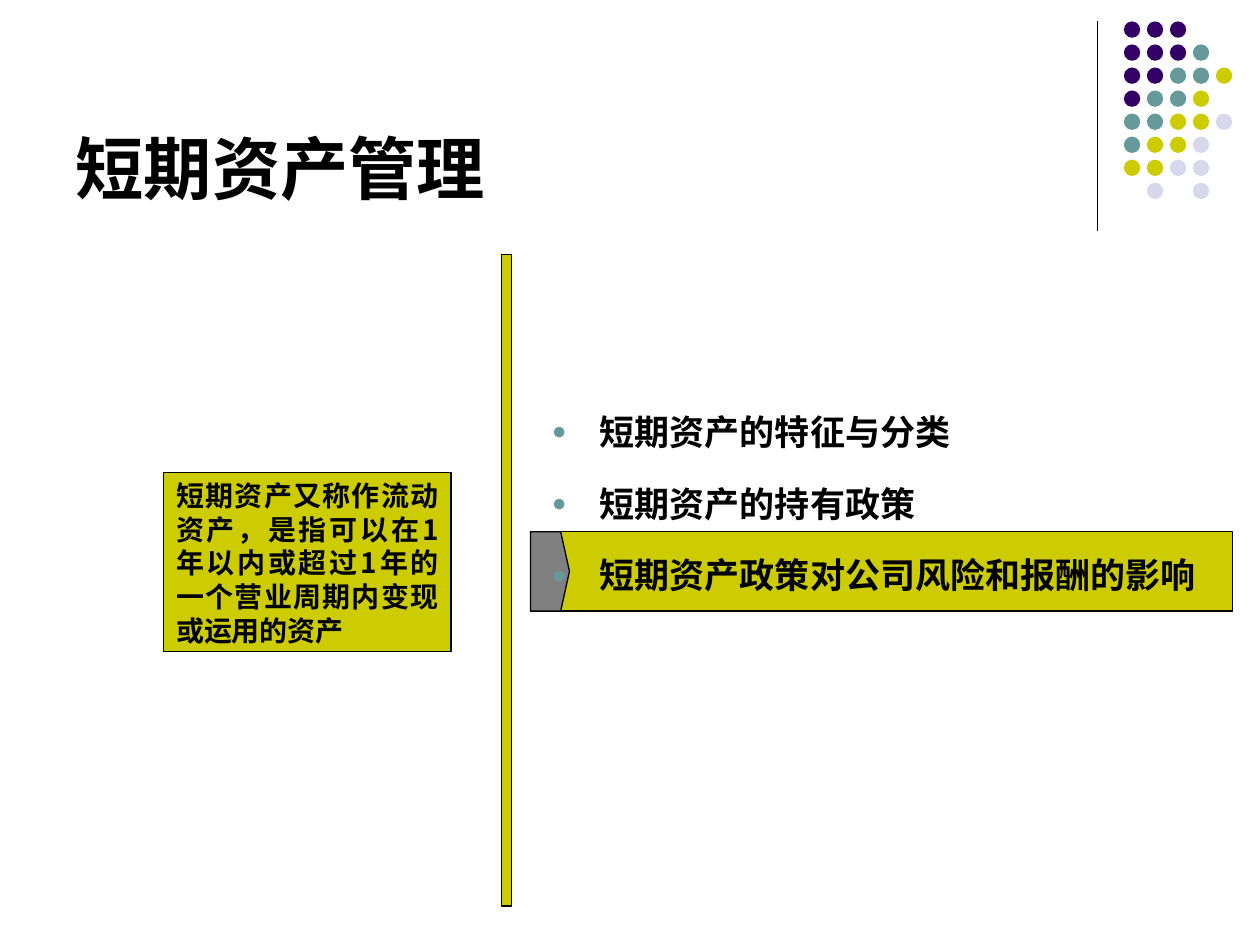
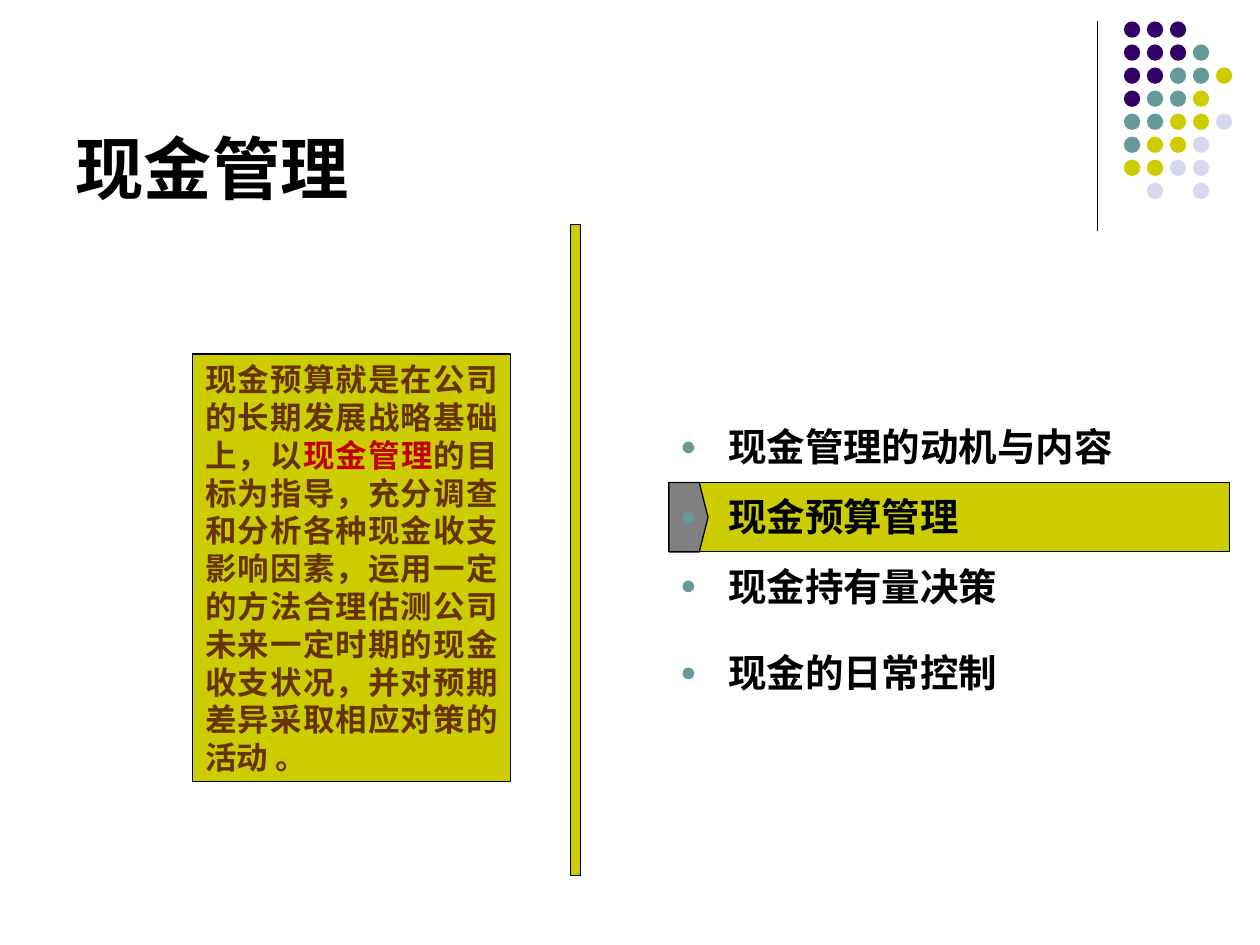
"""Build two slides on short-term asset and cash management."""
from lxml import etree
from pptx import Presentation
from pptx import util as u
from pptx.dml.color import RGBColor
from pptx.enum import shapes, text
from pptx.oxml.ns import qn

COLORS = {"black": "000000", "purple": "330066", "teal": "669999", "olive": "CCCC00",
          "lilac": "D8D8EC", "gray": "808080", "brown": "663300", "red": "C00000"}
CJK = "Noto Sans CJK SC"
DOT_ROWS = ["PPP", "PPPT", "PPTTO", "PTTO", "TTOOL", "TOOL", "OOLL", " L L"]
DOT_COLORS = {"P": "purple", "T": "teal", "O": "olive", "L": "lilac"}
SLIDES = [
    {"title": "短期资产管理",
     "bullets": ["短期资产的特征与分类", "短期资产的持有政策", "短期资产政策对公司风险和报酬的影响"],
     "body": (3.9, 3.04, 6.1, 4.71), "size": 20, "spacing": 1.5, "before": [0, 5, 5],
     "highlight": (4.21, 4.22, 5.57, 0.63), "divider": (3.98, 2.02, 0.08, 5.17),
     "note_box": (1.3, 3.75, 2.28, 1.42), "note_size": 16,
     "note": [("短期资产又称作流动资产，是指可以在1年以内或超过1年的一个营业周期内变现或运用的资产", "black")]},
    {"title": "现金管理",
     "bullets": ["现金管理的动机与内容", "现金预算管理", "现金持有量决策", "现金的日常控制"],
     "body": (4.92, 3.2, 4.17, 2.46), "size": 22, "spacing": 1.3, "before": [0, 5.5, 5.5, 15],
     "highlight": (5.31, 3.83, 4.45, 0.55), "divider": (4.53, 1.78, 0.08, 5.17),
     "note_box": (1.53, 2.81, 2.52, 3.39), "note_size": 18,
     "note": [("现金预算就是在公司的长期发展战略基础上，以", "brown"), ("现金管理", "red"),
              ("的目标为指导，充分调查和分析各种现金收支影响因素，运用一定的方法合理估测公司"
               "未来一定时期的现金收支状况，并对预期差异采取相应对策的活动 。", "brown")]},
]


def paint(sp, fill, line=None):
    sp.shadow.inherit = False
    sp.fill.solid()
    sp.fill.fore_color.rgb = RGBColor.from_string(COLORS[fill])
    if line:
        sp.line.color.rgb = RGBColor.from_string(COLORS[line])
        sp.line.width = u.Pt(0.75)
    else:
        sp.line.fill.background()


def style_run(r, size, color="black", font=CJK):
    r.font.size = u.Pt(size)
    r.font.bold = True
    r.font.name = font
    r.font.color.rgb = RGBColor.from_string(COLORS[color])
    etree.SubElement(r.font._element, qn("a:ea")).set("typeface", CJK)


prs = Presentation()
prs.slide_width, prs.slide_height = u.Inches(10), u.Inches(7.5)

for n, content in enumerate(SLIDES):
    s = prs.slides.add_slide(prs.slide_layouts[1])

    if n == 0:
        decor = s.shapes.add_group_shape()
        rule = decor.shapes.add_connector(shapes.MSO_CONNECTOR.STRAIGHT, u.Inches(8.71),
                                          u.Inches(0.17), u.Inches(8.71), u.Inches(1.83))
        rule.line.color.rgb = RGBColor.from_string(COLORS["black"])
        rule.line.width = u.Pt(0.75)
        etree.SubElement(rule.element.spPr, qn("a:effectLst"))
        for row, marks in enumerate(DOT_ROWS):
            for col, mark in enumerate(marks):
                if mark != " ":
                    dot = decor.shapes.add_shape(
                        shapes.MSO_SHAPE.OVAL, u.Inches(8.92 + col * 0.73 / 4),
                        u.Inches(0.17 + row * 1.28 / 7), u.Inches(0.13), u.Inches(0.13))
                    paint(dot, DOT_COLORS[mark])
        for number, props in enumerate(decor.element.iter(qn("p:cNvPr")), 100):
            props.set("id", str(number))
        prs.slide_master.shapes.element.append(decor.element)

    title = s.shapes.title
    title.left, title.top, title.width, title.height = map(u.Inches, (0.5, 0.36, 8.25, 1.34))
    tf = title.text_frame
    tf.text = content["title"]
    tf.auto_size = text.MSO_AUTO_SIZE.NONE
    tf.vertical_anchor = text.MSO_ANCHOR.BOTTOM
    tf.paragraphs[0].alignment = text.PP_ALIGN.LEFT
    style_run(tf.paragraphs[0].runs[0], 39, font="Arial")

    left, top, width, height = content["highlight"]
    bar = s.shapes.add_shape(shapes.MSO_SHAPE.RECTANGLE, *map(u.Inches, content["highlight"]))
    paint(bar, "olive", "black")
    outline = [(left + 0.24, top), (left + 0.31, top + height / 2),
               (left + 0.24, top + height), (left, top + height)]
    builder = s.shapes.build_freeform(u.Inches(left), u.Inches(top))
    builder.add_line_segments([(u.Inches(x), u.Inches(y)) for x, y in outline])
    paint(builder.convert_to_shape(), "gray", "black")

    body = s.placeholders[1]
    body.left, body.top, body.width, body.height = map(u.Inches, content["body"])
    s.shapes.element.append(body.element)
    tf = body.text_frame
    tf.text = "\n".join(content["bullets"])
    tf.auto_size = text.MSO_AUTO_SIZE.NONE
    tf.vertical_anchor = text.MSO_ANCHOR.TOP
    for p, before in zip(tf.paragraphs, content["before"]):
        p.level = 1
        pPr = p._p.get_or_add_pPr()
        pPr.set("marL", str(u.Inches(0.76)))
        pPr.set("indent", str(u.Inches(-0.38)))
        bullet_color = etree.SubElement(pPr, qn("a:buClr"))
        etree.SubElement(bullet_color, qn("a:srgbClr")).set("val", COLORS["teal"])
        etree.SubElement(pPr, qn("a:buSzPct")).set("val", "70000")
        etree.SubElement(pPr, qn("a:buFont")).set("typeface", "Arial")
        etree.SubElement(pPr, qn("a:buChar")).set("char", "●")
        p.line_spacing = content["spacing"]
        p.space_before = u.Pt(before)
        style_run(p.runs[0], content["size"])

    divider = s.shapes.add_shape(shapes.MSO_SHAPE.RECTANGLE, *map(u.Inches, content["divider"]))
    paint(divider, "olive", "black")

    note = s.shapes.add_shape(shapes.MSO_SHAPE.RECTANGLE, *map(u.Inches, content["note_box"]))
    paint(note, "olive", "black")
    tf = note.text_frame
    tf.word_wrap = True
    tf.vertical_anchor = text.MSO_ANCHOR.TOP
    p = tf.paragraphs[0]
    p.alignment = text.PP_ALIGN.JUSTIFY
    for words, color in content["note"]:
        r = p.add_run()
        r.text = words
        style_run(r, content["note_size"], color)

prs.save("out.pptx")
